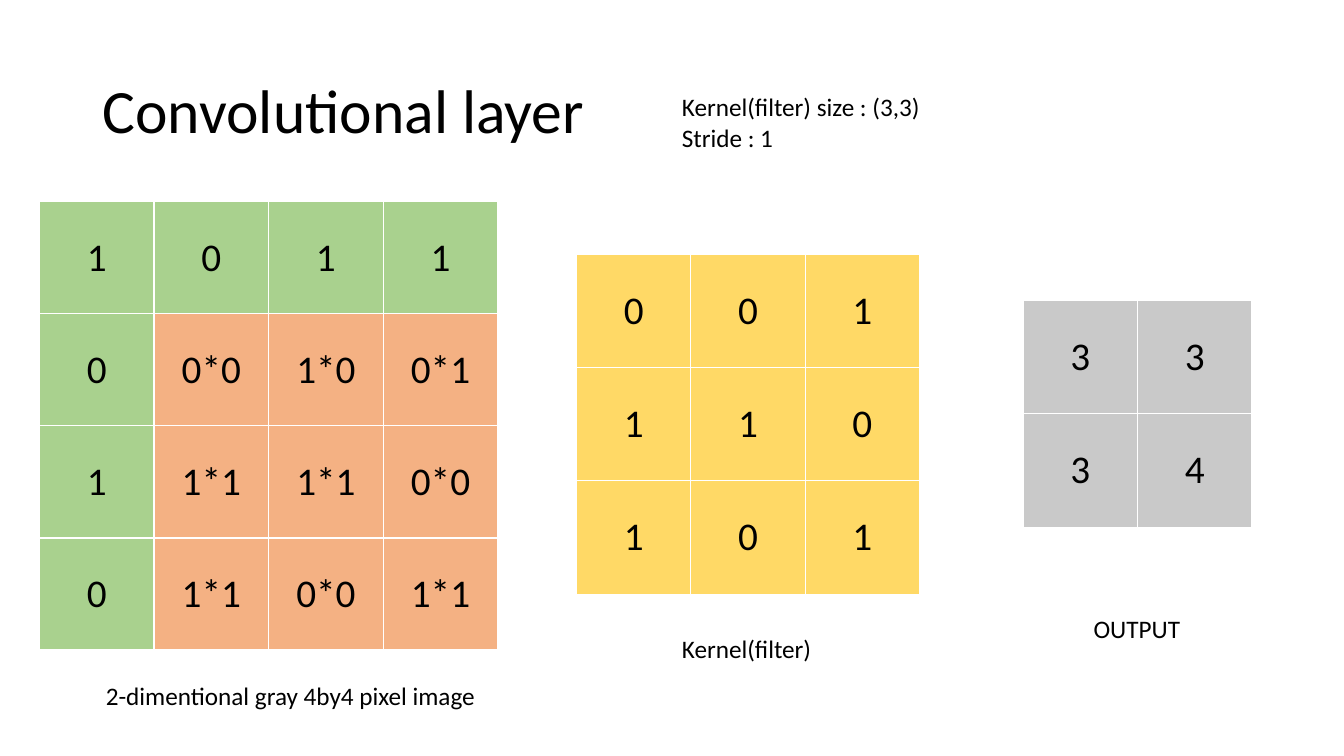
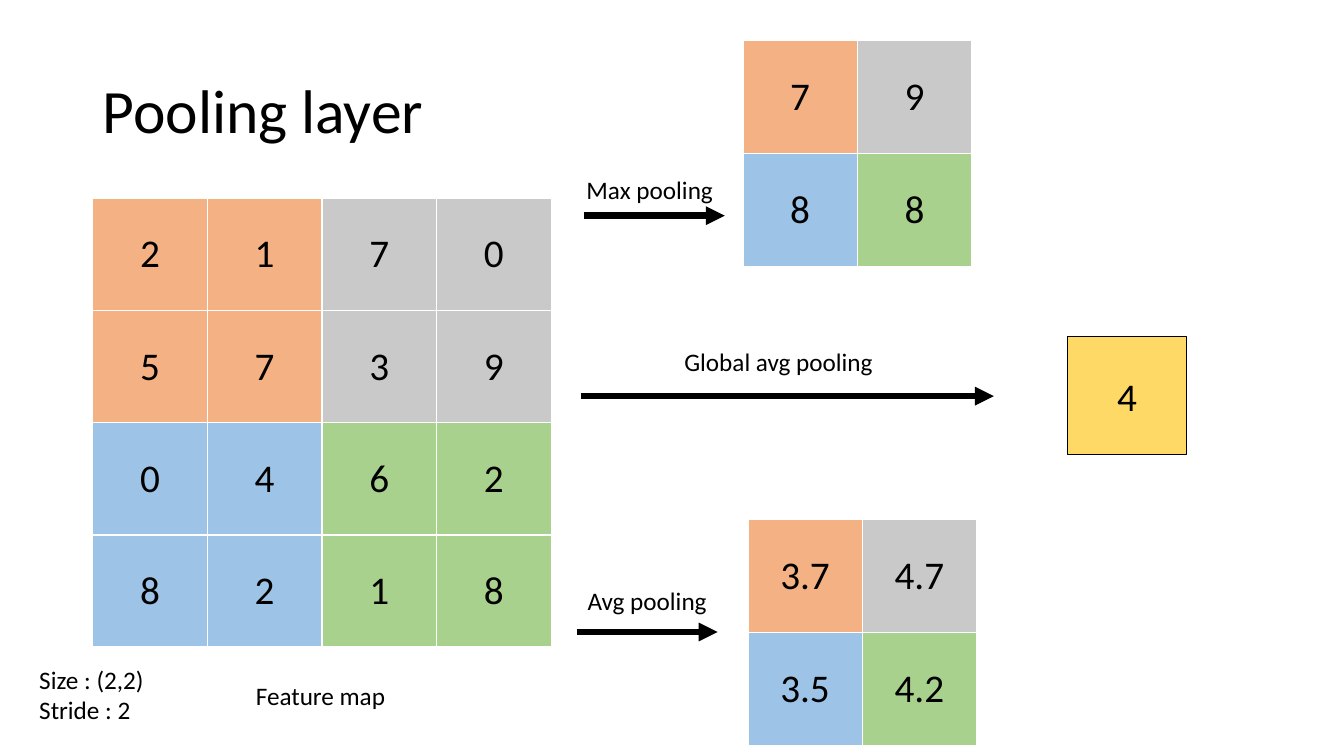
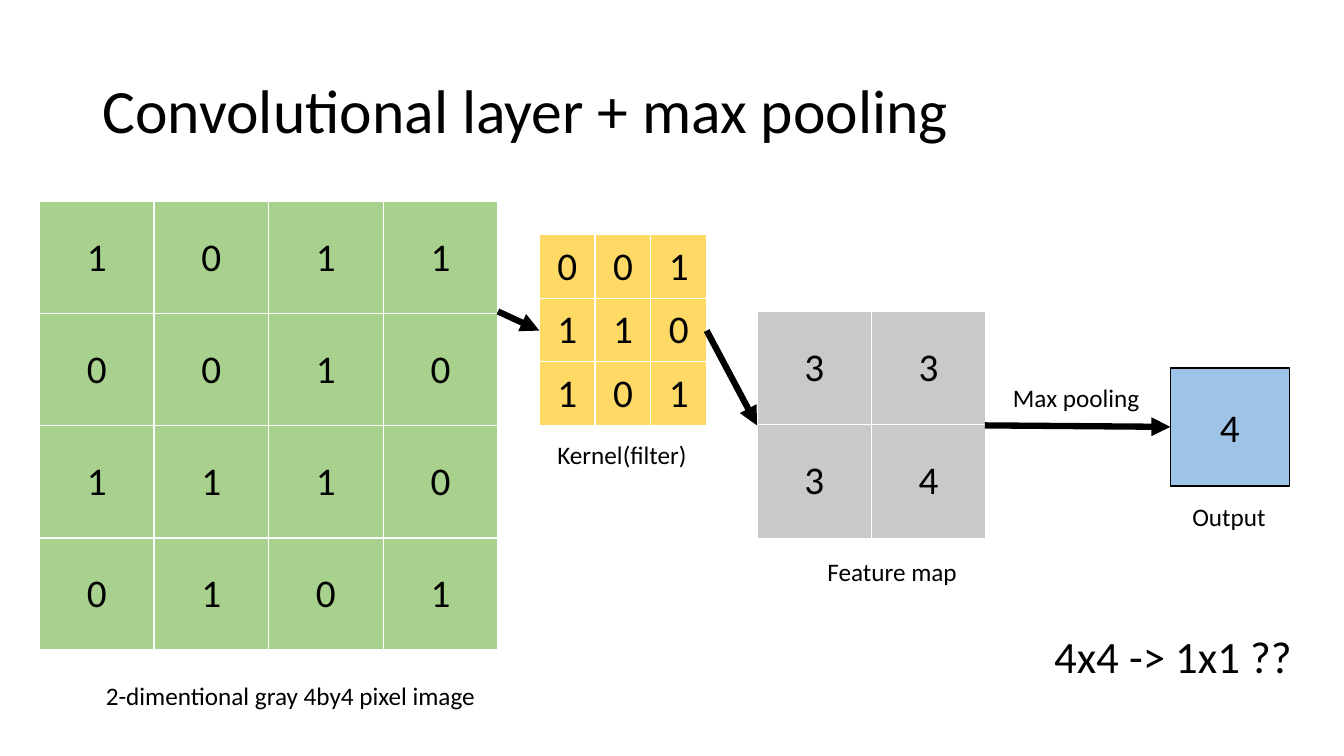
from lxml.etree import SubElement
from pptx import Presentation
from pptx.dml.color import RGBColor
from pptx.enum.shapes import MSO_CONNECTOR, MSO_SHAPE
from pptx.enum.text import MSO_ANCHOR, MSO_AUTO_SIZE, PP_ALIGN
from pptx.oxml.ns import qn
from pptx.util import Inches, Pt

BLACK = RGBColor(0x00, 0x00, 0x00)
GREEN = RGBColor(0xA9, 0xD1, 0x8E)
ORANGE = RGBColor(0xF4, 0xB1, 0x83)
YELLOW = RGBColor(0xFF, 0xD9, 0x66)
GRAY = RGBColor(0xC9, 0xC9, 0xC9)
BLUE = RGBColor(0x9D, 0xC3, 0xE6)
FILLS = {"G": GREEN, "O": ORANGE, "Y": YELLOW, "S": GRAY, "B": BLUE}
FONT = "Calibri"
TITLE_SIZE, NUMBER_SIZE, LABEL_SIZE, QUESTION_SIZE = 44, 28, 18, 32

deck = Presentation()
deck.slide_width, deck.slide_height = Inches(13.333), Inches(7.5)
COLUMN = deck.slide_width / 100
ROW = deck.slide_height / 100

FOUR_BY_FOUR = (8.53, 14.83)
LARGE = (8.51, 15)
SMALL = (4.15, 8.4)
BOX_WIDTH, BOX_HEIGHT = 8.85, 15.6

KERNEL = ["0 0 1", "1 1 0", "1 0 1"]
KERNEL_FILLS = ["YYY"] * 3
FEATURES = ["3 3", "3 4"]
FEATURE_FILLS = ["SS"] * 2
POOLED_FILLS = ["OS", "BG"]
IMAGE_CAPTION = (7.13, 89.33, 29.33, LABEL_SIZE, "2-dimentional gray 4by4 pixel image")

PAGES = [
    {
        "title": "Convolutional layer",
        "grids": [
            (2.93, 26.67, FOUR_BY_FOUR, ["1 0 1 1", "0 0*0 1*0 0*1", "1 1*1 1*1 0*0", "0 1*1 0*0 1*1"],
             ["GGGG"] + ["GOOO"] * 3),
            (42.9, 33.6, LARGE, KERNEL, KERNEL_FILLS),
            (76.13, 39.73, LARGE, FEATURES, FEATURE_FILLS),
        ],
        "labels": [
            (50, 11.47, 19.43, LABEL_SIZE, "Kernel(filter) size : (3,3)\nStride : 1"),
            IMAGE_CAPTION,
            (50, 83.07, 11.25, LABEL_SIZE, "Kernel(filter)"),
            (80.63, 80.53, 8.03, LABEL_SIZE, "OUTPUT"),
        ],
        "boxes": [],
        "arrows": [],
    },
    {
        "title": "Pooling layer",
        "grids": [
            (6.9, 26.27, FOUR_BY_FOUR, ["2 1 7 0", "5 7 3 9", "0 4 6 2", "8 2 1 8"],
             ["OOSS"] * 2 + ["BBGG"] * 2),
            (55.28, 5.33, LARGE, ["7 9", "8 8"], POOLED_FILLS),
            (55.65, 68.67, LARGE, ["3.7 4.7", "3.5 4.2"], POOLED_FILLS),
        ],
        "labels": [
            (42.9, 22.4, 11.03, LABEL_SIZE, "Max pooling"),
            (42.98, 76.8, 10.5, LABEL_SIZE, "Avg pooling"),
            (2.18, 87.2, 9.38, LABEL_SIZE, "Size : (2,2)\nStride : 2"),
            (18.3, 89.33, 11.25, LABEL_SIZE, "Feature map"),
            (50.18, 45.2, 15.68, LABEL_SIZE, "Global avg pooling"),
        ],
        "boxes": [(79.43, 44.53, YELLOW, "4")],
        "arrows": [
            (43.43, 28.53, 53.93, 28.53),
            (42.9, 83.6, 53.4, 83.6),
            (43.2, 52.4, 73.95, 52.4),
        ],
    },
    {
        "title": "Convolutional layer + max pooling",
        "grids": [
            (2.93, 26.67, FOUR_BY_FOUR, ["1 0 1 1", "0 0 1 0", "1 1 1 0", "0 1 0 1"], ["GGGG"] * 4),
            (40.13, 31.07, SMALL, KERNEL, KERNEL_FILLS),
            (56.33, 41.2, LARGE, FEATURES, FEATURE_FILLS),
        ],
        "labels": [
            IMAGE_CAPTION,
            (40.73, 57.47, 11.25, LABEL_SIZE, "Kernel(filter)"),
            (60.83, 72.93, 11.25, LABEL_SIZE, "Feature map"),
            (74.63, 49.87, 11.03, LABEL_SIZE, "Max pooling"),
            (77.7, 82.53, 19.43, QUESTION_SIZE, "4x4 -> 1x1 ??"),
            (87.98, 65.6, 7.05, LABEL_SIZE, "Output"),
        ],
        "boxes": [(87.08, 48.67, BLUE, "4")],
        "arrows": [
            (37.05, 41.2, 40.13, 43.73),
            (52.58, 43.73, 56.33, 56.27),
            (73.28, 56.27, 87.08, 56.47),
        ],
    },
]


def place(left, top, width, height):
    return round(left * COLUMN), round(top * ROW), round(width * COLUMN), round(height * ROW)


def style(text_frame, size, alignment):
    for para in text_frame.paragraphs:
        para.alignment = alignment
        for span in para.runs:
            span.font.name = FONT
            span.font.size = Pt(size)
            span.font.bold = False
            span.font.color.rgb = BLACK


for content in PAGES:
    page = deck.slides.add_slide(deck.slide_layouts[5])
    title = page.shapes.title
    title.left, title.top, title.width, title.height = place(6.88, 5.33, 86.25, 19.33)
    title.text_frame.text = content["title"]
    title.text_frame.auto_size = MSO_AUTO_SIZE.NONE
    title.text_frame.vertical_anchor = MSO_ANCHOR.MIDDLE
    title.text_frame.paragraphs[0].line_spacing = 0.9
    style(title.text_frame, TITLE_SIZE, PP_ALIGN.LEFT)

    for left, top, (cell_width, cell_height), lines, fills in content["grids"]:
        values = [line.split() for line in lines]
        row_count, column_count = len(values), len(values[0])
        area = place(left, top, column_count * cell_width, row_count * cell_height)
        table = page.shapes.add_table(row_count, column_count, *area).table
        table.horz_banding = False
        for row_index, row_values in enumerate(values):
            for column_index, value in enumerate(row_values):
                cell = table.cell(row_index, column_index)
                cell.fill.solid()
                cell.fill.fore_color.rgb = FILLS[fills[row_index][column_index]]
                cell.vertical_anchor = MSO_ANCHOR.MIDDLE
                cell.text_frame.text = value
                style(cell.text_frame, NUMBER_SIZE, PP_ALIGN.CENTER)

    for left, top, width, size, text in content["labels"]:
        label = page.shapes.add_textbox(*place(left, top, width, 5.33))
        label.text_frame.text = text
        label.text_frame.word_wrap = False
        label.text_frame.auto_size = MSO_AUTO_SIZE.SHAPE_TO_FIT_TEXT
        label.height = Pt(1.2 * size * len(label.text_frame.paragraphs)) + Inches(0.1)
        style(label.text_frame, size, PP_ALIGN.LEFT)

    boxes = []
    for left, top, fill, text in content["boxes"]:
        box = page.shapes.add_shape(MSO_SHAPE.RECTANGLE, *place(left, top, BOX_WIDTH, BOX_HEIGHT))
        box.shadow.inherit = False
        box.fill.solid()
        box.fill.fore_color.rgb = fill
        box.line.color.rgb = BLACK
        box.line.width = Pt(1)
        box.text_frame.text = text
        box.text_frame.vertical_anchor = MSO_ANCHOR.MIDDLE
        style(box.text_frame, NUMBER_SIZE, PP_ALIGN.CENTER)
        boxes.append(box)

    for ends in content["arrows"]:
        arrow = page.shapes.add_connector(MSO_CONNECTOR.STRAIGHT, *place(*ends))
        arrow.line.color.rgb = BLACK
        arrow.line.width = Pt(4.5)
        SubElement(arrow.line._get_or_add_ln(), qn("a:tailEnd"), type="triangle")
        SubElement(arrow._element.spPr, qn("a:effectLst"))
        for box in boxes:
            if abs(arrow.end_x - box.left) < COLUMN:
                arrow.end_connect(box, 1)

deck.save("out.pptx")
